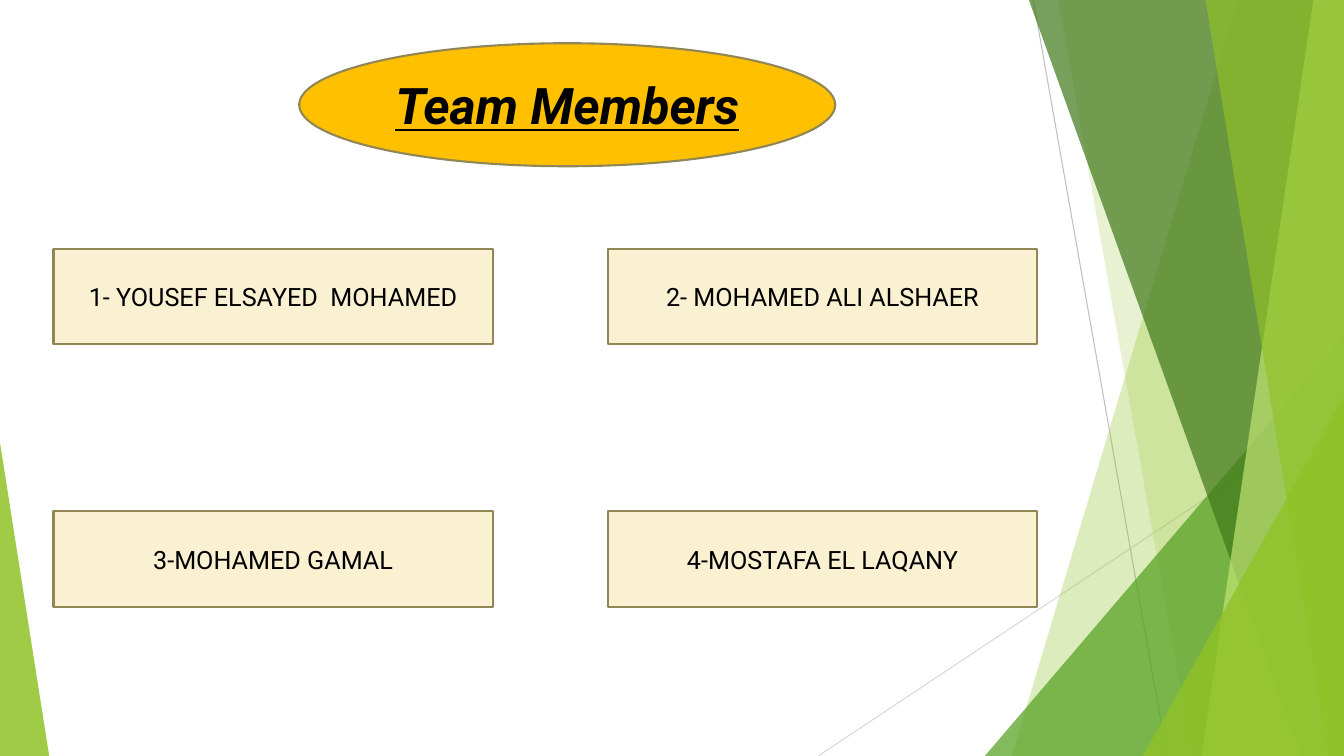
from lxml import etree
from pptx import Presentation
from pptx.dml.color import RGBColor
from pptx.enum import shapes as es, text as et
from pptx.oxml.ns import qn
from pptx.util import Cm, Pt

LIME = RGBColor(0x90, 0xC2, 0x26)
GREEN = RGBColor(0x54, 0xA0, 0x21)
DARK = RGBColor(0x3F, 0x78, 0x19)
PALE = RGBColor(0xC0, 0xE4, 0x74)
GOLD = RGBColor(0xFF, 0xC0, 0x00)
CREAM = RGBColor(0xFA, 0xF1, 0xD2)
OLIVE = RGBColor(0x91, 0x86, 0x55)
GREY = RGBColor(0xBF, 0xBF, 0xBF)
SILVER = RGBColor(0xD9, 0xD9, 0xD9)
BLACK = RGBColor(0, 0, 0)
FONT = "Roboto"
WIDE, HIGH = 33.87, 19.05
SHAPE = es.MSO_SHAPE


def tint(shape, color, alpha):
    """Fill a shape with a see-through colour; alpha is in percent."""
    shape.shadow.inherit = False
    shape.fill.solid()
    shape.fill.fore_color.rgb = color
    shape.line.fill.background()
    tone = shape.fill._xPr.find(qn("a:solidFill"))[0]
    etree.SubElement(tone, qn("a:alpha")).set("val", str(alpha * 1000))


def ray(slide, start, end, color):
    line = slide.shapes.add_connector(
        es.MSO_CONNECTOR.STRAIGHT, *map(Cm, start + end))
    line.line.color.rgb = color
    line.line.width = Pt(0.75)
    etree.SubElement(line._element.spPr, qn("a:effectLst"))


def band(slide, top, foot, color, alpha):
    """Run a slanted left edge from top to foot, filled to the slide's right."""
    pen = slide.shapes.build_freeform(Cm(top), Cm(0))
    pen.add_line_segments(
        [(Cm(WIDE), Cm(0)), (Cm(WIDE), Cm(HIGH)), (Cm(foot), Cm(HIGH))])
    tint(pen.convert_to_shape(), color, alpha)


def wedge(slide, left, top, width, tip, color, alpha):
    """Stand a triangle on the slide's foot; tip is 0 for left, 1 for right."""
    shape = slide.shapes.add_shape(
        SHAPE.ISOSCELES_TRIANGLE, Cm(left), Cm(top), Cm(width), Cm(HIGH - top))
    shape.adjustments[0] = tip
    tint(shape, color, alpha)


def decor(slide):
    ray(slide, (26.04, 0), (29.41, HIGH), GREY)
    ray(slide, (WIDE, 10.24), (20.62, HIGH), SILVER)
    band(slide, 31.19, 25.5, LIME, 30)
    band(slide, 26.67, 30.05, LIME, 20)
    wedge(slide, 24.82, 8.46, WIDE - 24.82, 1, GREEN, 72)
    band(slide, 25.93, 32.79, DARK, 70)
    band(slide, 33.1, 30.28, PALE, 70)
    band(slide, 30.38, 33.48, LIME, 65)
    wedge(slide, 28.8, 9.98, WIDE - 28.8, 1, LIME, 80)
    wedge(slide, 0, 11.15, 1.24, 0, LIME, 85)


def panel(slide, kind, box, color):
    shape = slide.shapes.add_shape(kind, *map(Cm, box))
    shape.shadow.inherit = False
    shape.fill.solid()
    shape.fill.fore_color.rgb = color
    shape.line.color.rgb = OLIVE
    shape.line.width = Pt(1.5)
    return shape


def write(shape, words, size):
    frame = shape.text_frame
    frame.word_wrap = True
    frame.vertical_anchor = et.MSO_ANCHOR.MIDDLE
    para = frame.paragraphs[0]
    para.alignment = et.PP_ALIGN.CENTER
    para.line_spacing = 1.0
    run = para.add_run()
    run.text = words
    font = run.font
    font.name, font.size = FONT, Pt(size)
    font.color.rgb = BLACK
    return font


def heading(slide, words, box):
    panel(slide, SHAPE.OVAL, box, GOLD)
    title = slide.shapes.title
    title.left, title.top, title.width, title.height = map(Cm, box)
    font = write(title, words, 36)
    font.bold = font.italic = font.underline = True
    slide.shapes._spTree.append(title._element)  # lift above the oval


def members(slide, names, box):
    """Set the names in two columns, row by row, inside the box."""
    left, top, width, height = box
    tall = 2.41
    cols = [(left, 11.07), (left + width - 10.82, 10.82)]
    for i, name in enumerate(names):
        row, col = divmod(i, 2)
        x, wide = cols[col]
        y = top + row * (height - tall)
        card = panel(slide, SHAPE.RECTANGLE, (x, y, wide, tall), CREAM)
        write(card, name, 18)


def main():
    deck = Presentation()
    deck.slide_width, deck.slide_height = Cm(WIDE), Cm(HIGH)
    slide = deck.slides.add_slide(deck.slide_layouts[5])
    decor(slide)
    heading(slide, "Team Members", (7.54, 1.09, 13.51, 3.1))
    members(slide, ["1- YOUSEF ELSAYED  MOHAMED", "2- MOHAMED ALI ALSHAER",
                    "3-MOHAMED GAMAL", "4-MOSTAFA EL LAQANY"],
            (1.35, 6.27, 24.79, 9.02))
    deck.save("out.pptx")


if __name__ == "__main__":
    main()
